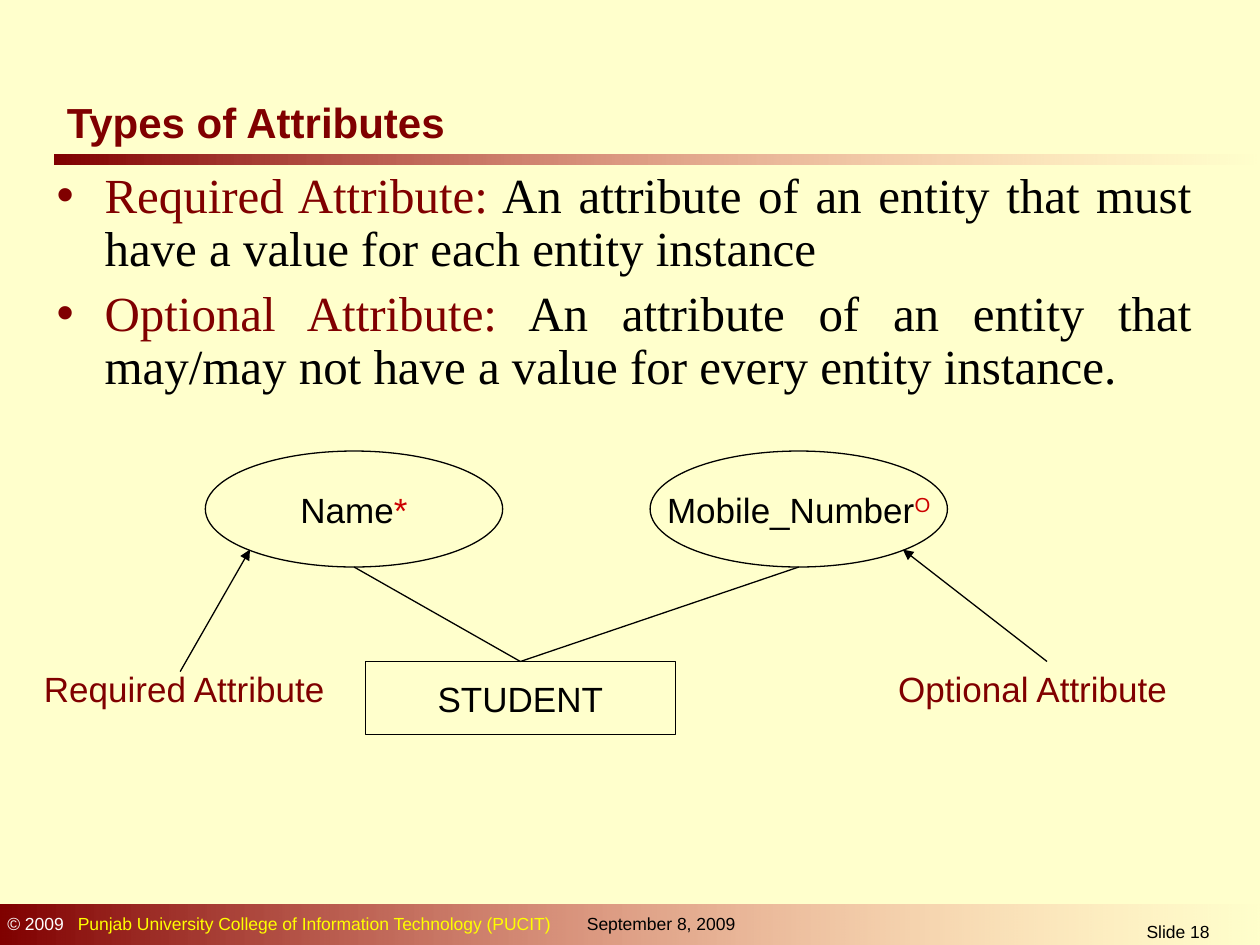
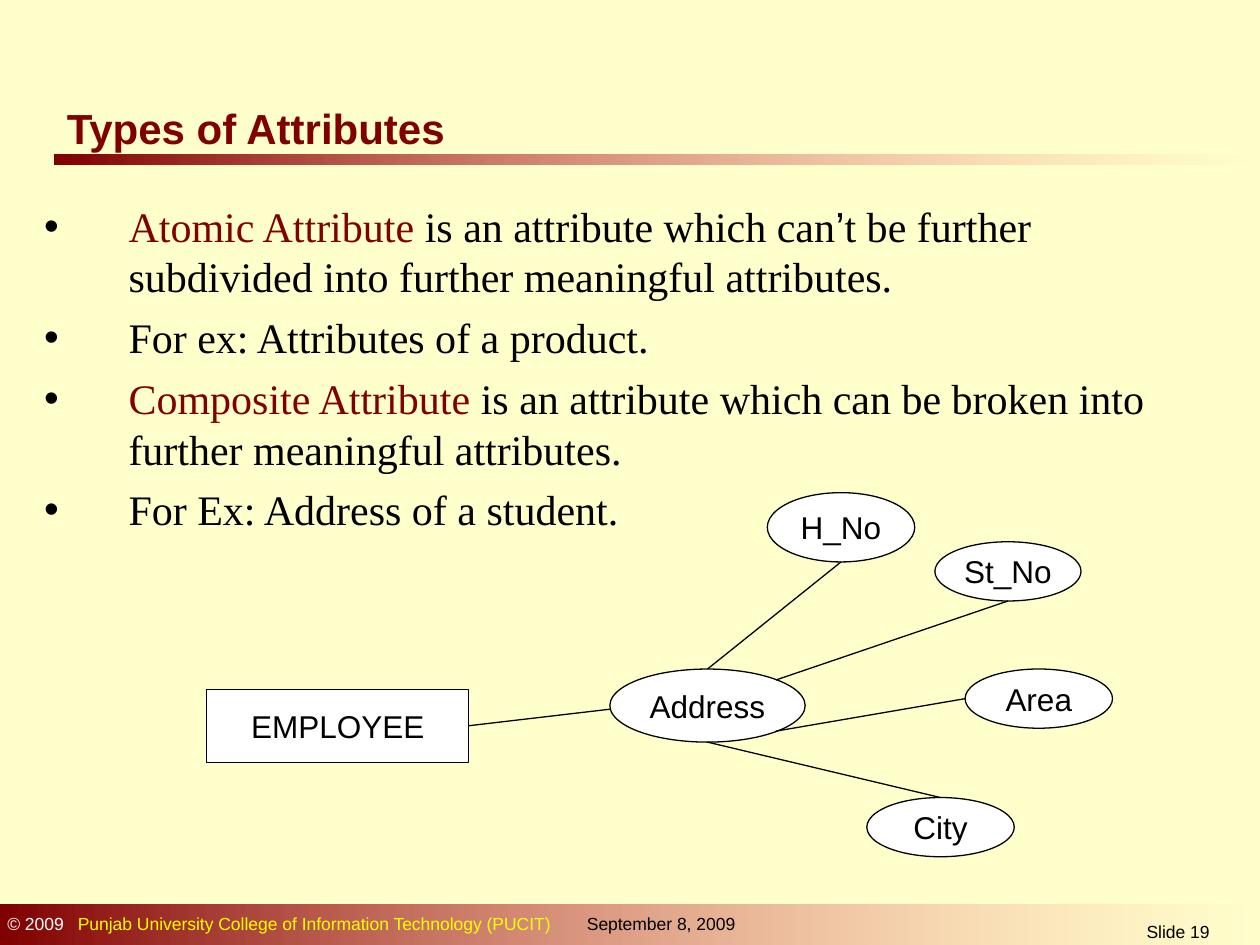
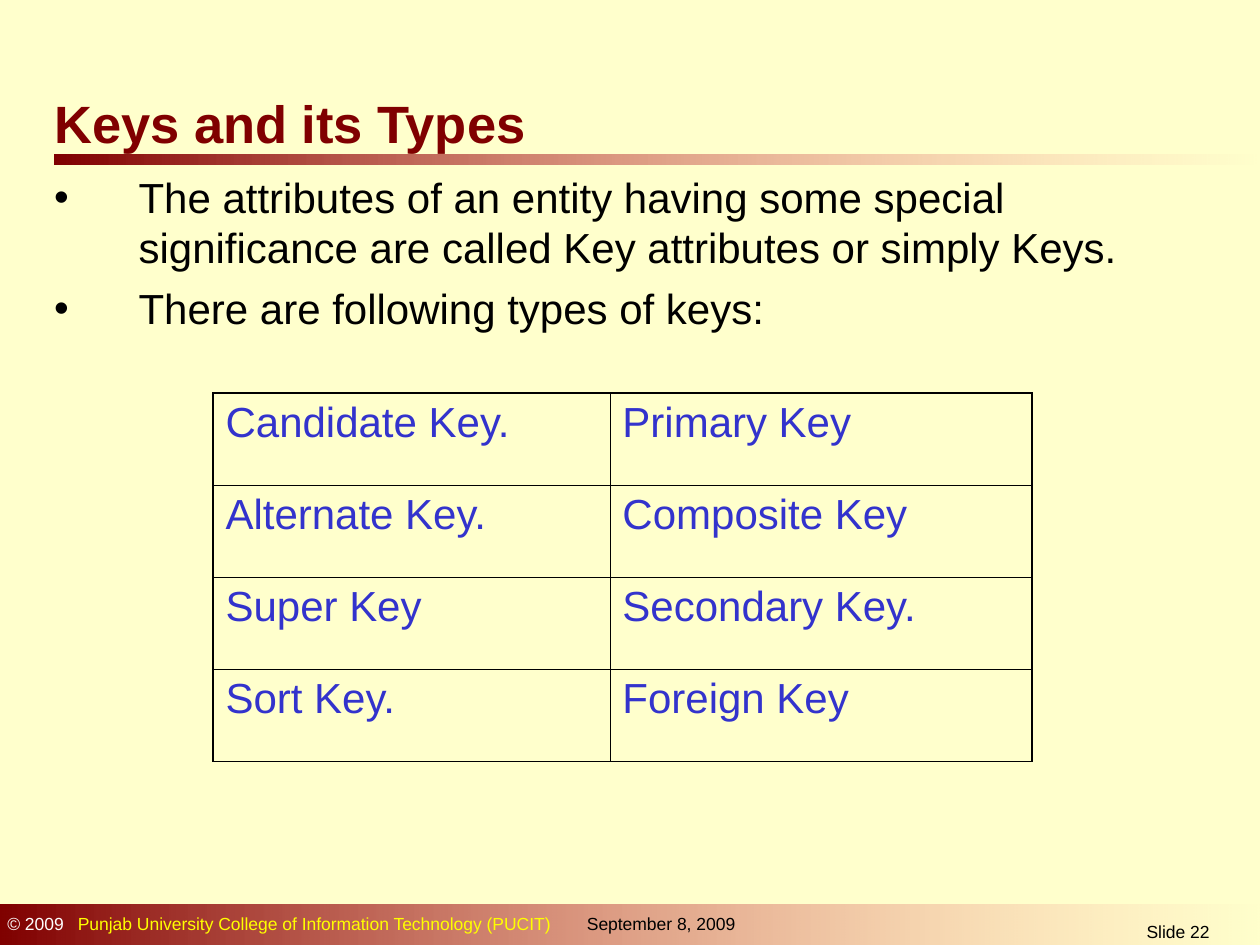
from lxml.etree import SubElement
from pptx import Presentation
from pptx.dml.color import RGBColor
from pptx.enum.shapes import MSO_CONNECTOR, MSO_SHAPE
from pptx.enum.text import MSO_ANCHOR, MSO_AUTO_SIZE, PP_ALIGN
from pptx.oxml.ns import qn
from pptx.util import Inches, Pt

MAROON = RGBColor(0x80, 0x00, 0x00)
PINK = RGBColor(0xFF, 0x85, 0x85)
CREAM = RGBColor(0xFF, 0xFF, 0xCC)
BLACK = RGBColor(0x00, 0x00, 0x00)
WHITE = RGBColor(0xFF, 0xFF, 0xFF)
YELLOW = RGBColor(0xFF, 0xFF, 0x00)
RED = RGBColor(0xCC, 0x00, 0x00)
BLUE = RGBColor(0x33, 0x33, 0xCC)
SANS, SERIF = "Arial", "Times New Roman"

# Shared bands and footer
BANDS = [(0.43, 1.23, 9.57, 0.08), (0, 7.18, 10.03, 0.35)]
COPYRIGHT = [("© 2009", WHITE),
             ("\tPunjab University College of Information Technology (PUCIT)", YELLOW)]
DATE = [("September 8, 2009", BLACK)]

# Titles and lists; a run is (text, colour) or (text, colour, font)
REQUIRED_OPTIONAL = {
    "number": 18, "title": "Types of Attributes", "title_size": 24,
    "title_box": (0.43, 0.76, 3.86, 0.42),
    "body_box": (0.35, 1.31, 9.21, 2.04),
    "font": SERIF, "size": 28, "indent": 0.38, "space": 7, "line_spacing": 0.9,
    "align": PP_ALIGN.JUSTIFY, "bullet": MAROON,
    "items": [
        [("Required Attribute:", MAROON),
         (" An attribute of an entity that must have a value for each entity instance", BLACK)],
        [("Optional Attribute:", MAROON),
         (" An attribute of an entity that may/may not have a value for every entity instance.",
          BLACK)],
    ],
}
ATOMIC_COMPOSITE = {
    "number": 19, "title": "Types of Attributes", "title_size": 24,
    "title_box": (0.43, 0.76, 3.33, 0.5),
    "body_box": (0.25, 1.54, 9.58, 5.56),
    "font": SERIF, "size": 24, "indent": 0.67, "space": 6, "line_spacing": 1.0,
    "align": PP_ALIGN.LEFT, "bullet": BLACK,
    "items": [
        [("Atomic Attribute", MAROON), (" is an attribute which can", BLACK),
         ("’", BLACK, SANS),
         ("t be further subdivided into further meaningful attributes.", BLACK)],
        [("For ex: Attributes of a product.", BLACK)],
        [("Composite Attribute", MAROON),
         (" is an attribute which can be broken into further meaningful attributes.", BLACK)],
        [("For Ex: Address of a student.", BLACK)],
    ],
}
KEYS = {
    "number": 22, "title": "Keys and its Types", "title_size": 30,
    "title_box": (0.33, 0.68, 4.35, 0.58),
    "body_box": (0.33, 1.31, 9.33, 1.83),
    "font": SANS, "size": 24, "indent": 0.67, "space": 6, "line_spacing": 1.0,
    "align": PP_ALIGN.LEFT, "bullet": BLACK,
    "items": [
        [("The attributes of an entity having some special significance are called "
          "Key attributes or simply Keys.", BLACK)],
        [("There are following types of keys:", BLACK)],
    ],
}

# Diagrams: nodes are name: (preset, box, runs)
STUDENT_NODES = {
    "student": (MSO_SHAPE.RECTANGLE, (2.9, 5.25, 2.46, 0.58), [("STUDENT", BLACK)]),
    "name": (MSO_SHAPE.OVAL, (1.63, 3.58, 2.36, 0.92), [("Name", BLACK), ("*", RED)]),
    "mobile": (MSO_SHAPE.OVAL, (5.16, 3.58, 2.36, 0.92),
               [("Mobile_Number", BLACK), ("O", RED)]),
}
STUDENT_LABELS = [("Required Attribute", 0.25), ("Optional Attribute", 7.03)]
EMPLOYEE_NODES = {
    "employee": (MSO_SHAPE.RECTANGLE, (1.64, 5.47, 2.08, 0.58), [("EMPLOYEE", BLACK)]),
    "address": (MSO_SHAPE.OVAL, (4.84, 5.31, 1.55, 0.58), [("Address", BLACK)]),
    "house": (MSO_SHAPE.OVAL, (6.09, 3.91, 1.17, 0.55), [("H_No", BLACK)]),
    "street": (MSO_SHAPE.OVAL, (7.42, 4.3, 1.16, 0.47), [("St_No", BLACK)]),
    "area": (MSO_SHAPE.OVAL, (7.66, 5.31, 1.17, 0.47), [("Area", BLACK)]),
    "city": (MSO_SHAPE.OVAL, (6.88, 6.33, 1.17, 0.47), [("City", BLACK)]),
}
KEY_TYPES = [("Candidate Key.", "Primary Key"), ("Alternate Key.", "Composite Key"),
             ("Super Key", "Secondary Key."), ("Sort Key.", "Foreign Key")]

# Points on a node's outline, as fractions of its box
TOP, BOTTOM, LEFT = (0.5, 0), (0.5, 1), (0, 0.5)
LOWER_LEFT, LOWER_RIGHT, UPPER_RIGHT = (0.15, 0.85), (0.85, 0.85), (0.85, 0.15)
LEFT_BELOW_MIDDLE = (0, 0.55)
TOP_SITE, RIGHT_SITE = 0, 3
EMPLOYEE_LINKS = [("house", BOTTOM, TOP), ("street", BOTTOM, UPPER_RIGHT),
                  ("area", LEFT, LOWER_RIGHT), ("city", TOP, BOTTOM)]


def inches(values):
    return [Inches(value) for value in values]


def add_runs(paragraph, runs, size, font=SANS, bold=False):
    for text, color, *other_font in runs:
        run = paragraph.add_run()
        run.text = text
        run.font.name = other_font[0] if other_font else font
        run.font.size = Pt(size)
        run.font.bold = bold
        run.font.color.rgb = color


def add_label(slide, box, runs, size, align=PP_ALIGN.LEFT, tab=None):
    frame = slide.shapes.add_textbox(*inches(box)).text_frame
    frame.word_wrap = True
    paragraph = frame.paragraphs[0]
    paragraph.alignment = align
    if tab:
        tabs = SubElement(paragraph._p.get_or_add_pPr(), qn("a:tabLst"))
        SubElement(tabs, qn("a:tab"), pos=str(Inches(tab)), algn="l")
    add_runs(paragraph, runs, size)


def add_band(slide, box):
    band = slide.shapes.add_shape(MSO_SHAPE.RECTANGLE, *inches(box))
    band.shadow.inherit = False
    band.line.fill.background()
    band.fill.gradient()
    band.fill.gradient_angle = 0
    for stop, color in zip(band.fill.gradient_stops, (MAROON, PINK)):
        stop.color.rgb = color
    last_color = band._element.spPr.findall(".//" + qn("a:srgbClr"))[-1]
    SubElement(last_color, qn("a:alpha"), val="0")


def place(placeholder, box):
    placeholder.left, placeholder.top, placeholder.width, placeholder.height = inches(box)
    frame = placeholder.text_frame
    frame.auto_size = MSO_AUTO_SIZE.NONE
    frame.word_wrap = True
    return frame


def add_bullet(paragraph, color, indent):
    properties = paragraph._p.get_or_add_pPr()
    properties.set("marL", str(Inches(indent)))
    properties.set("indent", str(-Inches(indent)))
    bullet_color = SubElement(properties, qn("a:buClr"))
    SubElement(bullet_color, qn("a:srgbClr"), val=str(color))
    SubElement(properties, qn("a:buChar"), char="•")


def add_slide(presentation, content):
    slide = presentation.slides.add_slide(presentation.slide_layouts[1])
    for box in BANDS:
        add_band(slide, box)
    add_label(slide, (-0.04, 7.2, 6.46, 0.27), COPYRIGHT, 10, tab=0.56)
    add_label(slide, (4.56, 7.2, 1.54, 0.27), DATE, 10)
    add_label(slide, (8.31, 7.26, 2.08, 0.24), [(f"Slide {content['number']}", BLACK)], 10,
              PP_ALIGN.CENTER)

    title = place(slide.shapes.title, content["title_box"])
    title.vertical_anchor = MSO_ANCHOR.MIDDLE
    title.paragraphs[0].alignment = PP_ALIGN.LEFT
    add_runs(title.paragraphs[0], [(content["title"], MAROON)], content["title_size"], bold=True)

    body = place(slide.placeholders[1], content["body_box"])
    for index, runs in enumerate(content["items"]):
        paragraph = body.add_paragraph() if index else body.paragraphs[0]
        add_bullet(paragraph, content["bullet"], content["indent"])
        paragraph.alignment = content["align"]
        paragraph.line_spacing = content["line_spacing"]
        paragraph.space_before = Pt(content["space"] if index else 0)
        add_runs(paragraph, runs, content["size"], content["font"])
    return slide


def add_nodes(slide, nodes, size, fill=None):
    shapes = {}
    for name, (preset, box, runs) in nodes.items():
        shape = slide.shapes.add_shape(preset, *inches(box))
        shape.shadow.inherit = False
        if fill is None:
            shape.fill.background()
        else:
            shape.fill.solid()
            shape.fill.fore_color.rgb = fill
        shape.line.color.rgb = BLACK
        shape.line.width = Pt(0.75)
        frame = shape.text_frame
        frame.word_wrap = False
        frame.vertical_anchor = MSO_ANCHOR.MIDDLE
        frame.paragraphs[0].alignment = PP_ALIGN.CENTER
        add_runs(frame.paragraphs[0], runs, size)
        shapes[name] = shape
    return shapes


def outline_point(shape, anchor):
    return (int(shape.left + shape.width * anchor[0]),
            int(shape.top + shape.height * anchor[1]))


def add_line(slide, start, end, arrow=False):
    line = slide.shapes.add_connector(MSO_CONNECTOR.STRAIGHT, *start, *end)
    line.line.color.rgb = BLACK
    line.line.width = Pt(0.75)
    if arrow:
        SubElement(line.line._get_or_add_ln(), qn("a:tailEnd"), type="triangle")
    SubElement(line._element.spPr, qn("a:effectLst"))
    return line


def add_student_diagram(slide):
    shapes = add_nodes(slide, STUDENT_NODES, 20)
    for name in ("name", "mobile"):
        line = add_line(slide, outline_point(shapes["student"], TOP),
                        outline_point(shapes[name], BOTTOM))
        line.begin_connect(shapes["student"], TOP_SITE)
    for text, left in STUDENT_LABELS:
        add_label(slide, (left, 5.25, 2.55, 0.44), [(text, MAROON)], 20)
    add_line(slide, inches((1.43, 5.33)), outline_point(shapes["name"], LOWER_LEFT), arrow=True)
    add_line(slide, inches((8.31, 5.25)), outline_point(shapes["mobile"], LOWER_RIGHT), arrow=True)
    # The optional mark is raised
    mark = shapes["mobile"].text_frame.paragraphs[0].runs[-1]
    mark._r.get_or_add_rPr().set("baseline", "30000")


def add_employee_diagram(slide):
    shapes = add_nodes(slide, EMPLOYEE_NODES, 18, WHITE)
    address = shapes["address"]
    line = add_line(slide, outline_point(address, LEFT_BELOW_MIDDLE),
                    outline_point(shapes["employee"], (1, 0.5)))
    line.end_connect(shapes["employee"], RIGHT_SITE)
    for name, part_anchor, address_anchor in EMPLOYEE_LINKS:
        add_line(slide, outline_point(shapes[name], part_anchor),
                 outline_point(address, address_anchor))


def set_borders(cell, widths):
    properties = cell._tc.get_or_add_tcPr()
    for side, width in widths.items():
        border = SubElement(properties, qn(f"a:ln{side}"), w=str(Pt(width)))
        fill = SubElement(border, qn("a:solidFill"))
        SubElement(fill, qn("a:srgbClr"), val=str(BLACK))


def add_key_table(slide):
    thin, thick = 0.45, 1.08
    rows, columns = len(KEY_TYPES), len(KEY_TYPES[0])
    table = slide.shapes.add_table(rows, columns, *inches((1.69, 3.12, 6.5, 2.92))).table
    table.first_row = table.horz_banding = False
    for column, width in zip(table.columns, (3.15, 3.35)):
        column.width = Inches(width)
    for row_index, names in enumerate(KEY_TYPES):
        table.rows[row_index].height = Inches(0.73)
        for column_index, name in enumerate(names):
            cell = table.cell(row_index, column_index)
            set_borders(cell, {
                "L": thin if column_index else thick,
                "R": thick if column_index == columns - 1 else thin,
                "T": thin if row_index else thick,
                "B": thin,
            })
            cell.fill.background()
            add_runs(cell.text_frame.paragraphs[0], [(name, BLUE)], 24)


def main():
    presentation = Presentation()
    presentation.slide_width, presentation.slide_height = inches((10, 7.5))
    background = presentation.slide_master.background.fill
    background.solid()
    background.fore_color.rgb = CREAM

    add_student_diagram(add_slide(presentation, REQUIRED_OPTIONAL))
    add_employee_diagram(add_slide(presentation, ATOMIC_COMPOSITE))
    add_key_table(add_slide(presentation, KEYS))
    presentation.save("out.pptx")


if __name__ == "__main__":
    main()
